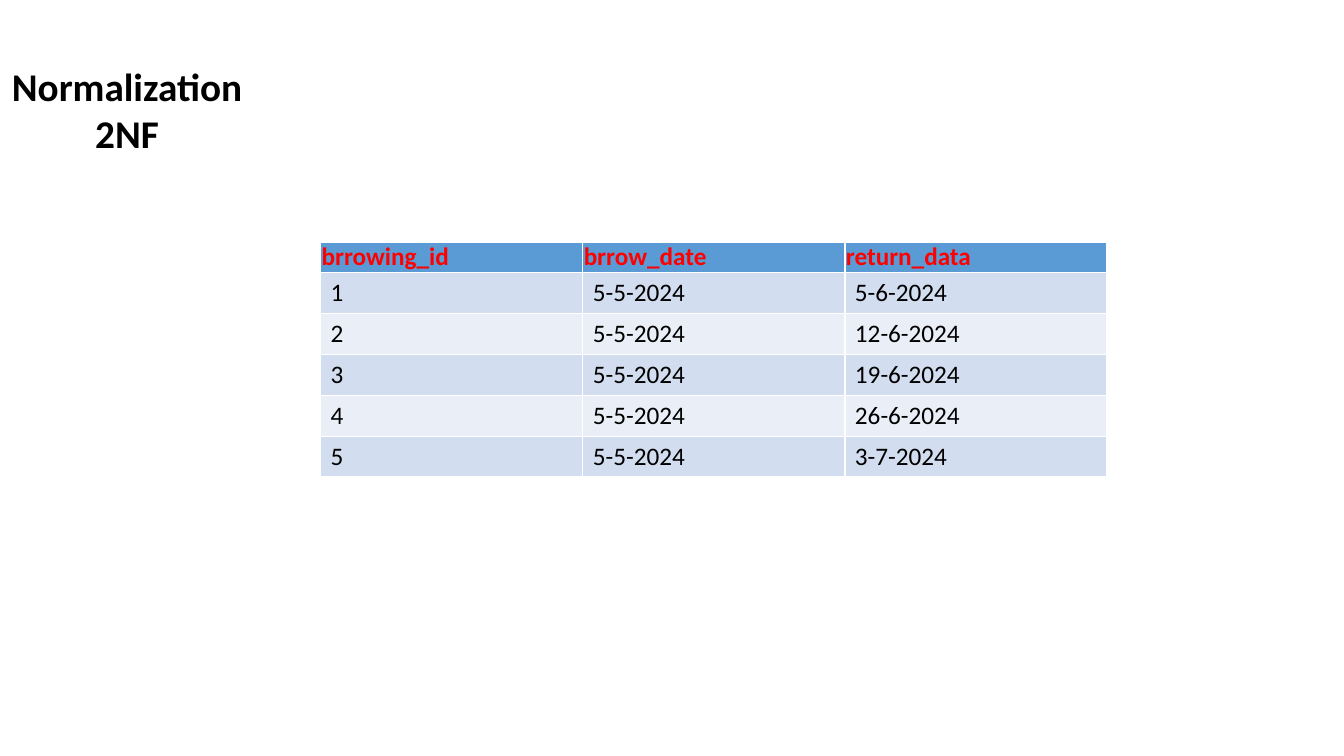
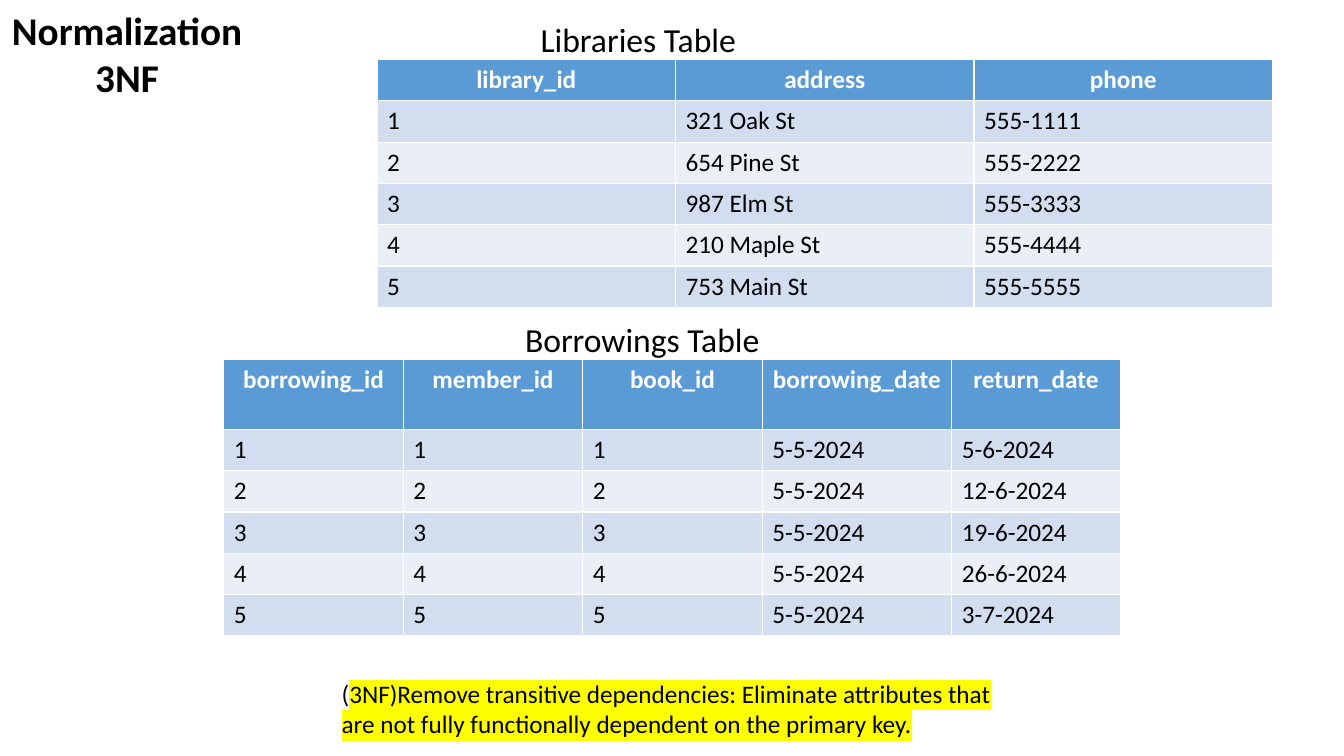
from lxml import etree
from pptx import Presentation
from pptx.dml.color import RGBColor
from pptx.enum.text import MSO_ANCHOR, MSO_AUTO_SIZE, PP_ALIGN
from pptx.oxml.ns import qn
from pptx.util import Pt

PX = 9144  # 100 px to the inch
FONT = "Calibri"
BLACK = RGBColor(0x00, 0x00, 0x00)
WHITE = RGBColor(0xFF, 0xFF, 0xFF)
RED = RGBColor(0xFF, 0x00, 0x00)
HEADER_BLUE = RGBColor(0x5B, 0x9B, 0xD5)
BANDS = (RGBColor(0xD2, 0xDE, 0xEF), RGBColor(0xEA, 0xEF, 0xF7))
HIGHLIGHT = RGBColor(0xFF, 0xFF, 0x00)
LEFT, CENTER = PP_ALIGN.LEFT, PP_ALIGN.CENTER
TOP = MSO_ANCHOR.TOP
NO_AUTOFIT = MSO_AUTO_SIZE.NONE
TITLE_ONLY = 5

BORROW_DATE = "5-5-2024"
RETURN_DATES = ["5-6-2024", "12-6-2024", "19-6-2024", "26-6-2024", "3-7-2024"]
ADDRESSES = ["321 Oak St", "654 Pine St", "987 Elm St", "210 Maple St", "753 Main St"]


def style(para, size, color=BLACK, bold=False, align=LEFT):
    para.alignment = align
    para.font.name = FONT
    para.font.size = Pt(size)
    para.font.bold = bold
    para.font.color.rgb = color


def add_grid(page, left, top, widths, header_height, row_height, rows,
             header_color=WHITE, header_align=CENTER, header_margins=(8, 5)):
    height = header_height + row_height * (len(rows) - 1)
    grid = page.shapes.add_table(len(rows), len(widths), left * PX, top * PX,
                                 sum(widths) * PX, height * PX).table
    for column, width in zip(grid.columns, widths):
        column.width = width * PX
    for index, values in enumerate(rows):
        header = index == 0
        grid.rows[index].height = (header_height if header else row_height) * PX
        for column, value in enumerate(values):
            cell = grid.cell(index, column)
            cell.text = value
            cell.fill.solid()
            if header:
                cell.fill.fore_color.rgb = HEADER_BLUE
                cell.margin_left = cell.margin_right = header_margins[0] * PX
                cell.margin_top = cell.margin_bottom = header_margins[1] * PX
                style(cell.text_frame.paragraphs[0], 18, header_color, True, header_align)
            else:
                cell.fill.fore_color.rgb = BANDS[(index - 1) % 2]
                style(cell.text_frame.paragraphs[0], 18)


deck = Presentation()
deck.slide_width = 1333 * PX
deck.slide_height = 750 * PX

# Pages with their titles
pages = []
for form, top in (("2NF", 57), ("3NF", 1)):
    page = deck.slides.add_slide(deck.slide_layouts[TITLE_ONLY])
    title = page.shapes.title
    title.left, title.top, title.width, title.height = 0, top * PX, 252 * PX, 104 * PX
    frame = title.text_frame
    frame.text = f"Normalization\n{form}"
    frame.word_wrap = False
    frame.auto_size = NO_AUTOFIT
    frame.vertical_anchor = TOP
    for para in frame.paragraphs:
        style(para, 28, bold=True, align=CENTER)
    pages.append(page)
second_form, third_form = pages

# Second normal form: borrowing dates
dates = [["brrowing_id", "brrow_date", "return_data"]]
for number, returned in enumerate(RETURN_DATES, 1):
    dates.append([str(number), BORROW_DATE, returned])
add_grid(second_form, 318, 240, [260] * 3, 30, 40, dates, RED, LEFT, (1, 0))

# Third normal form: libraries and borrowings
libraries = [["library_id", "address", "phone"]]
for number, address in enumerate(ADDRESSES, 1):
    libraries.append([str(number), address, f"555-{str(number) * 4}"])
add_grid(third_form, 374, 59, [296] * 3, 41, 41, libraries)

borrowings = [["borrowing_id", "member_id", "book_id", "borrowing_date", "return_date"]]
for number, returned in enumerate(RETURN_DATES, 1):
    borrowings.append([str(number)] * 3 + [BORROW_DATE, returned])
add_grid(third_form, 222, 357, [178, 178, 178, 188, 167], 69, 41, borrowings)

# Table captions
for caption, left, top in (("Libraries Table", 187, 18), ("Borrowings Table", 191, 316)):
    box = third_form.shapes.add_textbox(left * PX, top * PX, 892 * PX, 82 * PX)
    box.text_frame.word_wrap = True
    para = box.text_frame.paragraphs[0]
    para.text = caption
    para.line_spacing = 0.9
    style(para, 24, align=CENTER)

# Highlighted rule
box = third_form.shapes.add_textbox(329 * PX, 668 * PX, 670 * PX, 71 * PX)
box.text_frame.word_wrap = True
para = box.text_frame.paragraphs[0]
style(para, 18)
para.add_run().text = "("
span = para.add_run()
span.text = ("3NF)Remove transitive dependencies: Eliminate attributes that "
             "are not fully functionally dependent on the primary key.")
mark = etree.Element(qn("a:highlight"))
etree.SubElement(mark, qn("a:srgbClr"), val=str(HIGHLIGHT))
span.font._element.insert(0, mark)

deck.save("out.pptx")
